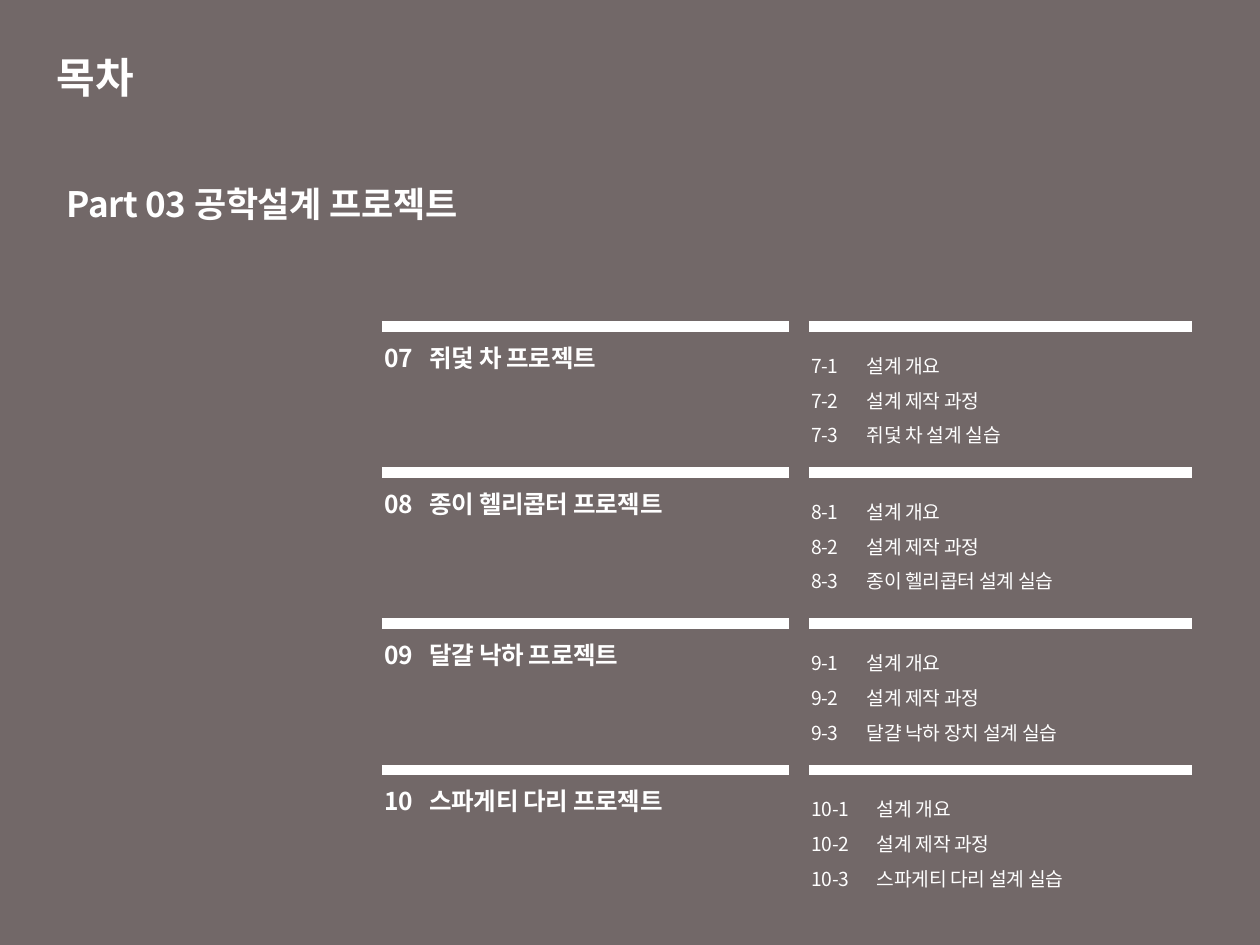
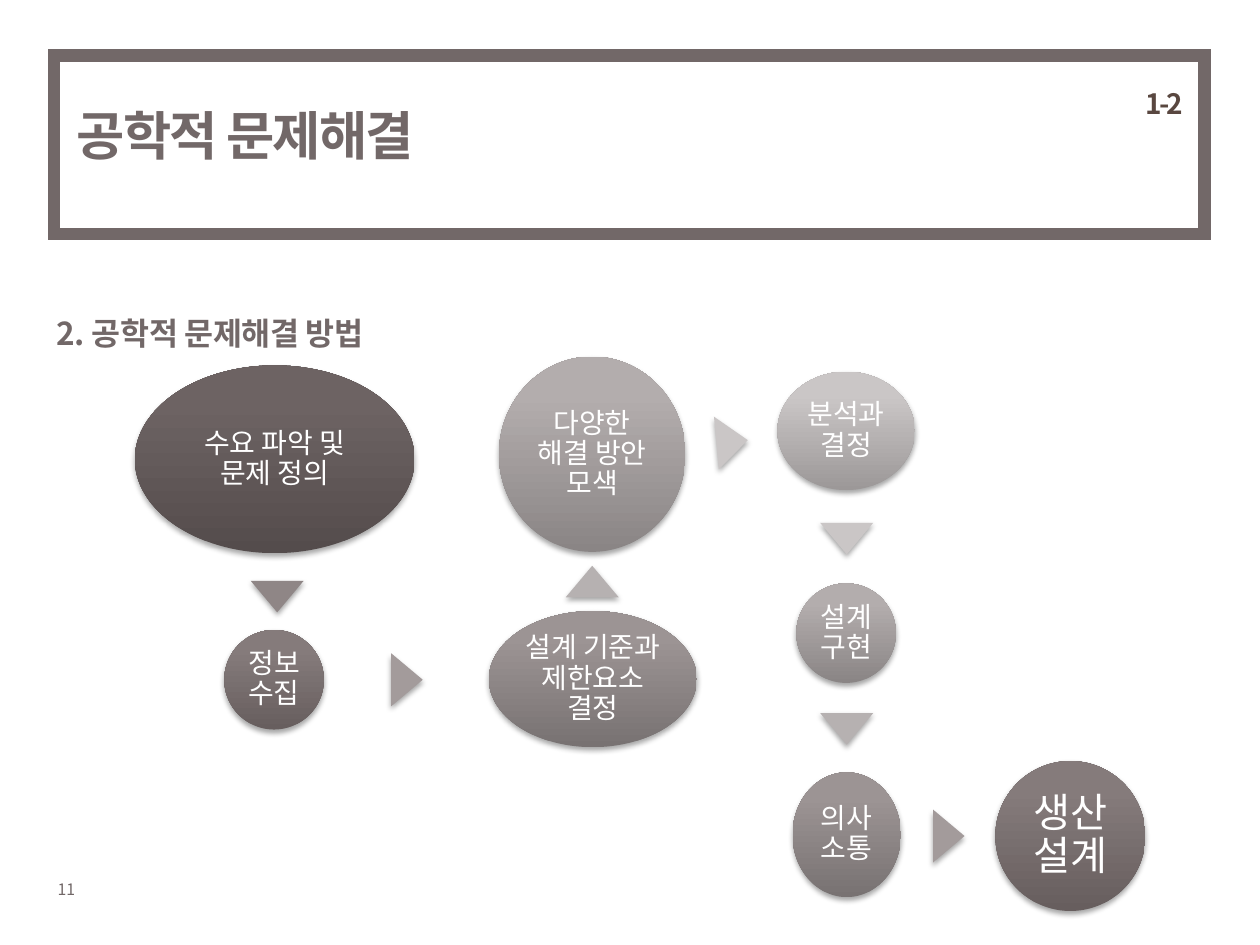
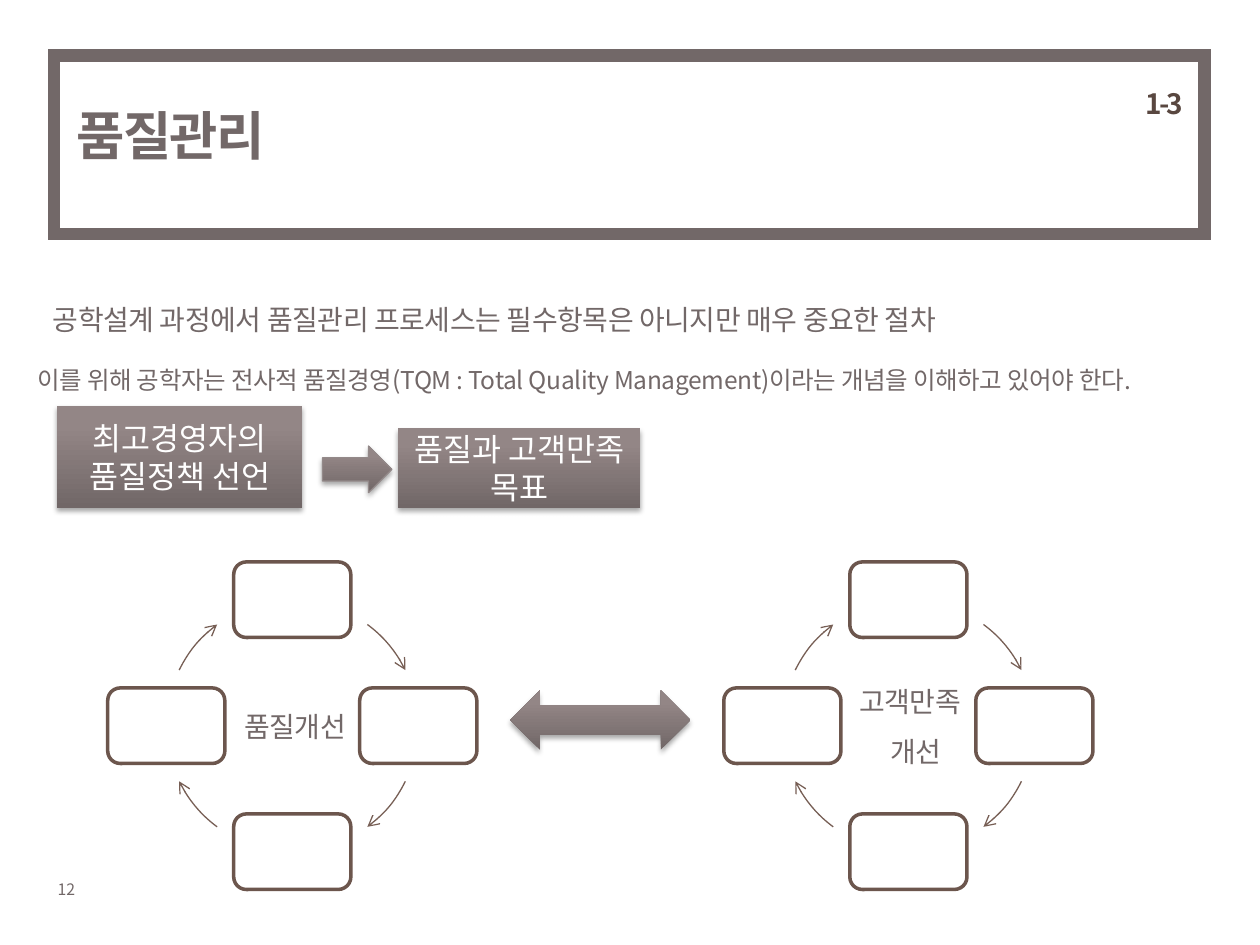
from lxml.etree import SubElement
from pptx import Presentation
from pptx.dml.color import RGBColor
from pptx.enum.shapes import MSO_CONNECTOR as Connector, MSO_SHAPE as Shape
from pptx.enum.text import MSO_ANCHOR as Anchor, PP_ALIGN as Align
from pptx.oxml.ns import qn
from pptx.util import Inches, Pt

FONT = "Noto Sans CJK KR"
WHITE = RGBColor(0xFF, 0xFF, 0xFF)
TAUPE = RGBColor(0x72, 0x68, 0x68)
BROWN = RGBColor(0x59, 0x47, 0x40)
NODE_LINE = RGBColor(0x6C, 0x56, 0x4D)
ARC_LINE = RGBColor(0x77, 0x5F, 0x55)
ARROW_LINE = RGBColor(0x93, 0x89, 0x89)
BLOCK_TONE = (RGBColor(0x71, 0x67, 0x67), RGBColor(0x93, 0x86, 0x86))
# Bottom and top colours of the ovals, from dark to light
OVAL_TONES = [
    (RGBColor(0x54, 0x4C, 0x4C), RGBColor(0x6D, 0x63, 0x63)),
    (RGBColor(0x67, 0x5E, 0x5E), RGBColor(0x85, 0x7B, 0x7B)),
    (RGBColor(0x78, 0x72, 0x72), RGBColor(0x9C, 0x94, 0x94)),
    (RGBColor(0x8A, 0x85, 0x85), RGBColor(0xB3, 0xAD, 0xAD)),
    (RGBColor(0x9C, 0x98, 0x98), RGBColor(0xCA, 0xC6, 0xC6)),
]
TRIANGLE_TONES = [
    RGBColor(0x8F, 0x86, 0x86),
    RGBColor(0xA3, 0x9B, 0x9B),
    RGBColor(0xB6, 0xB1, 0xB1),
    RGBColor(0xCA, 0xC6, 0xC6),
]

# Line height, number, title, section titles, tab position of the sections
CHAPTERS = [
    (2.59, "07", "쥐덫 차 프로젝트", ["설계 개요", "설계 제작 과정", "쥐덫 차 설계 실습"], 0.44),
    (3.75, "08", "종이 헬리콥터 프로젝트",
     ["설계 개요", "설계 제작 과정", "종이 헬리콥터 설계 실습"], 0.44),
    (4.95, "09", "달걀 낙하 프로젝트",
     ["설계 개요", "설계 제작 과정", "달걀 낙하 장치 설계 실습"], 0.44),
    (6.11, "10", "스파게티 다리 프로젝트",
     ["설계 개요", "설계 제작 과정", "스파게티 다리 설계 실습"], 0.52),
]
CHAPTER_LINES = [(3.03, 6.26), (6.42, 9.46)]

# Text, box, tone, text size
STEPS = [
    ("수요 파악 및 문제 정의", (1.07, 2.9, 2.22, 1.49), 0, 16),
    ("정보 수집", (1.78, 5, 0.79, 0.79), 1, 16),
    ("설계 기준과 제한요소 결정", (3.88, 4.85, 1.65, 1.08), 2, 16),
    ("다양한 해결 방안 모색", (3.96, 2.83, 1.48, 1.55), 3, 16),
    ("분석과 결정", (6.17, 2.95, 1.09, 0.94), 4, 16),
    ("설계 구현", (6.32, 4.63, 0.79, 0.79), 3, 16),
    ("의사소통", (6.29, 6.13, 0.86, 0.99), 2, 16),
    ("생산설계", (7.9, 6.04, 1.19, 1.19), 1, 23),
]
# Left, top, rotation, tone
STEP_ARROWS = [
    (1.99, 4.61, 180, 0),
    (3.02, 5.27, 90, 1),
    (4.49, 4.49, 0, 2),
    (5.6, 3.38, 84.8, 3),
    (6.51, 4.15, 180, 3),
    (6.51, 5.66, 180, 2),
    (7.32, 6.51, 90, 1),
]

POLICY_BLOCKS = [
    ("최고경영자의 품질정책 선언", (0.45, 3.22, 1.95, 0.81)),
    ("품질과 고객만족 목표", (3.16, 3.4, 1.92, 0.63)),
]
# Centre of the cycle, label, left and top of the label
CYCLES = [
    (2.32, "품질개선", 1.84, 5.45),
    (7.21, "고객만족 개선", 6.72, 5.25),
]
CYCLE_MIDDLE, CYCLE_RADIUS = 5.76, 1.0
NODE_WIDTH, NODE_HEIGHT = 0.93, 0.6
NODE_DIRECTIONS = [(0, -1), (1, 0), (0, 1), (-1, 0)]
ARC_ANGLES = [(306.6, 333.8), (26.2, 53.4), (126.6, 153.8), (206.2, 233.4)]


def format_text(shape, lines, size, color, bold=False, spacing=0, align=Align.LEFT,
                line_spacing=None, hanging=0, tab=0):
    """Write one paragraph per line; spacing is between letters, in points."""
    frame = shape.text_frame
    frame.text = "\n".join(lines)
    for paragraph in frame.paragraphs:
        paragraph.alignment = align
        if line_spacing:
            paragraph.line_spacing = line_spacing
        properties = paragraph._p.get_or_add_pPr()
        if hanging:
            properties.set("marL", str(Inches(hanging)))
            properties.set("indent", str(-Inches(hanging)))
        if tab:
            tabs = SubElement(properties, qn("a:tabLst"))
            SubElement(tabs, qn("a:tab"), pos=str(Inches(tab)), algn="l")
        for run in paragraph.runs:
            font = run.font
            font.name, font.size, font.bold = FONT, Pt(size), bold
            font.color.rgb = color
            run_properties = run._r.get_or_add_rPr()
            run_properties.set("spc", str(round(spacing * 100)))
            SubElement(run_properties, qn("a:ea"), typeface=FONT)


def add_text(slide, box, lines, size, color, anchor=Anchor.TOP, wrap=True, **style):
    shape = slide.shapes.add_textbox(*map(Inches, box))
    shape.text_frame.word_wrap = wrap
    shape.text_frame.vertical_anchor = anchor
    format_text(shape, lines, size, color, **style)
    return shape


def add_body(slide, box, text, size, bold=False):
    add_text(slide, box, [text], size, TAUPE, bold=bold, spacing=-0.2,
             line_spacing=1.5, hanging=0.25)


def add_plain(slide, kind, box, fill=None, line=None, width=0):
    shape = slide.shapes.add_shape(kind, *map(Inches, box))
    shape.shadow.inherit = False
    if fill is None:
        shape.fill.background()
    else:
        shape.fill.solid()
        shape.fill.fore_color.rgb = fill
    if line is None:
        shape.line.fill.background()
    else:
        shape.line.color.rgb = line
        shape.line.width = Pt(width)
    return shape


def add_shadow(shape):
    effects = shape._element.spPr.find(qn("a:effectLst"))
    shadow = SubElement(effects, qn("a:outerShdw"), blurRad=str(Pt(3.1)), dist=str(Pt(1.8)),
                        dir="5400000", rotWithShape="0")
    color = SubElement(shadow, qn("a:srgbClr"), val="000000")
    SubElement(color, qn("a:alpha"), val="35000")


def add_glossy(slide, kind, box, tone, line=None, width=0):
    """Add a shadowed shape that runs from a dark bottom to a light top."""
    shape = add_plain(slide, kind, box, line=line, width=width)
    shape.fill.gradient()
    shape.fill.gradient_angle = 90
    for stop, color, position in zip(shape.fill.gradient_stops, tone, (0, 0.8)):
        stop.color.rgb = color
        stop.position = position
    add_shadow(shape)
    return shape


def add_slide(presentation):
    return presentation.slides.add_slide(presentation.slide_layouts[6])


def add_content_slide(presentation, title, section, number):
    slide = add_slide(presentation)
    add_text(slide, (0.36, 6.93, 0.52, 0.25), [number], 9, TAUPE, wrap=False)
    add_text(slide, (0.51, 0.44, 7.17, 1.26), [title], 30, TAUPE, Anchor.MIDDLE,
             bold=True, spacing=-1)
    frame = add_plain(slide, Shape.RECTANGLE, (0.43, 0.44, 9.13, 1.42), line=TAUPE, width=7)
    SubElement(frame.line._get_or_add_ln(), qn("a:miter"), lim="800000")
    add_text(slide, (7.69, 0.13, 1.8, 1.18), [section], 16, BROWN, bold=True,
             spacing=-1.5, align=Align.RIGHT, line_spacing=Pt(56))
    return slide


def add_chapter_line(slide, start, end, top):
    line = slide.shapes.add_connector(Connector.STRAIGHT, Inches(start), Inches(top),
                                      Inches(end), Inches(top))
    line.line.color.rgb = WHITE
    line.line.width = Pt(6)
    SubElement(line._element.spPr, qn("a:effectLst"))


def build_contents(presentation):
    slide = add_slide(presentation)
    add_plain(slide, Shape.RECTANGLE, (0, 0, 10, 7.5), TAUPE)
    add_text(slide, (0.35, 0.29, 3.15, 0.63), ["목차"], 24, WHITE, Anchor.MIDDLE, bold=True)
    add_text(slide, (0.43, 1.23, 4.88, 0.79), ["Part 03 공학설계 프로젝트"], 20, WHITE,
             bold=True, spacing=-0.2, line_spacing=1.5, hanging=0.25)
    for top, number, title, sections, tab in CHAPTERS:
        heading = add_text(slide, (2.95, top + 0.08, 3.62, 0.39), [f"{number}\t{title}"], 14,
                           WHITE, bold=True, spacing=-0.2, tab=0.36)
        heading.text_frame.paragraphs[0].space_before = Pt(3)
        lines = [f"{int(number)}-{index}\t{section}"
                 for index, section in enumerate(sections, 1)]
        add_text(slide, (6.34, top + 0.08, 3.62, 0.71), lines, 11, WHITE,
                 spacing=-0.2, line_spacing=1.5, tab=tab)
        for start, end in CHAPTER_LINES:
            add_chapter_line(slide, start, end, top)


def build_problem_solving(presentation):
    slide = add_content_slide(presentation, "공학적 문제해결", "1-2", "11")
    add_body(slide, (0.35, 2.29, 3.62, 0.39), "2. 공학적 문제해결 방법", 18, bold=True)
    for text, box, tone, size in STEPS:
        oval = add_glossy(slide, Shape.OVAL, box, OVAL_TONES[tone])
        frame = oval.text_frame
        frame.margin_left = frame.margin_right = Inches(0.02)
        frame.margin_top = frame.margin_bottom = Inches(0.02)
        format_text(oval, [text], size, WHITE, align=Align.CENTER, line_spacing=0.9)
    for left, top, rotation, tone in STEP_ARROWS:
        triangle = add_plain(slide, Shape.ISOSCELES_TRIANGLE, (left, top, 0.42, 0.25),
                             TRIANGLE_TONES[tone])
        triangle.rotation = rotation
        add_shadow(triangle)


def add_cycle(slide, center):
    for across, down in NODE_DIRECTIONS:
        left = center + across * CYCLE_RADIUS - NODE_WIDTH / 2
        top = CYCLE_MIDDLE + down * CYCLE_RADIUS - NODE_HEIGHT / 2
        add_plain(slide, Shape.ROUNDED_RECTANGLE, (left, top, NODE_WIDTH, NODE_HEIGHT),
                  WHITE, NODE_LINE, 2)
    circle = (center - CYCLE_RADIUS, CYCLE_MIDDLE - CYCLE_RADIUS,
              2 * CYCLE_RADIUS, 2 * CYCLE_RADIUS)
    for angles in ARC_ANGLES:
        arc = add_plain(slide, Shape.ARC, circle, line=ARC_LINE, width=0.75)
        for index, angle in enumerate(angles):
            arc.adjustments[index] = angle * 0.6  # 60000 units a degree, over 100000
        SubElement(arc.line._get_or_add_ln(), qn("a:tailEnd"), type="arrow")


def build_quality(presentation):
    slide = add_content_slide(presentation, "품질관리", "1-3", "12")
    add_body(slide, (0.32, 2.22, 8.78, 0.65),
             "공학설계 과정에서 품질관리 프로세스는 필수항목은 아니지만 매우 중요한 절차", 16)
    add_body(slide, (0.2, 2.73, 9.91, 0.65),
             "이를 위해 공학자는 전사적 품질경영(TQM : Total Quality Management)이라는 "
             "개념을 이해하고 있어야 한다.", 14)
    for text, box in POLICY_BLOCKS:
        block = add_glossy(slide, Shape.RECTANGLE, box, BLOCK_TONE)
        format_text(block, [text], 18, WHITE, align=Align.CENTER)
    add_glossy(slide, Shape.RIGHT_ARROW, (2.56, 3.54, 0.55, 0.37), BLOCK_TONE,
               ARROW_LINE, 0.75)
    for center, label, left, top in CYCLES:
        add_cycle(slide, center)
        add_body(slide, (left, top, 1.12, 0.39), label, 16)
    add_glossy(slide, Shape.LEFT_RIGHT_ARROW, (4.05, 5.48, 1.43, 0.47), BLOCK_TONE)


def main():
    presentation = Presentation()
    presentation.slide_width, presentation.slide_height = Inches(10), Inches(7.5)
    build_contents(presentation)
    build_problem_solving(presentation)
    build_quality(presentation)
    presentation.save("out.pptx")


if __name__ == "__main__":
    main()
